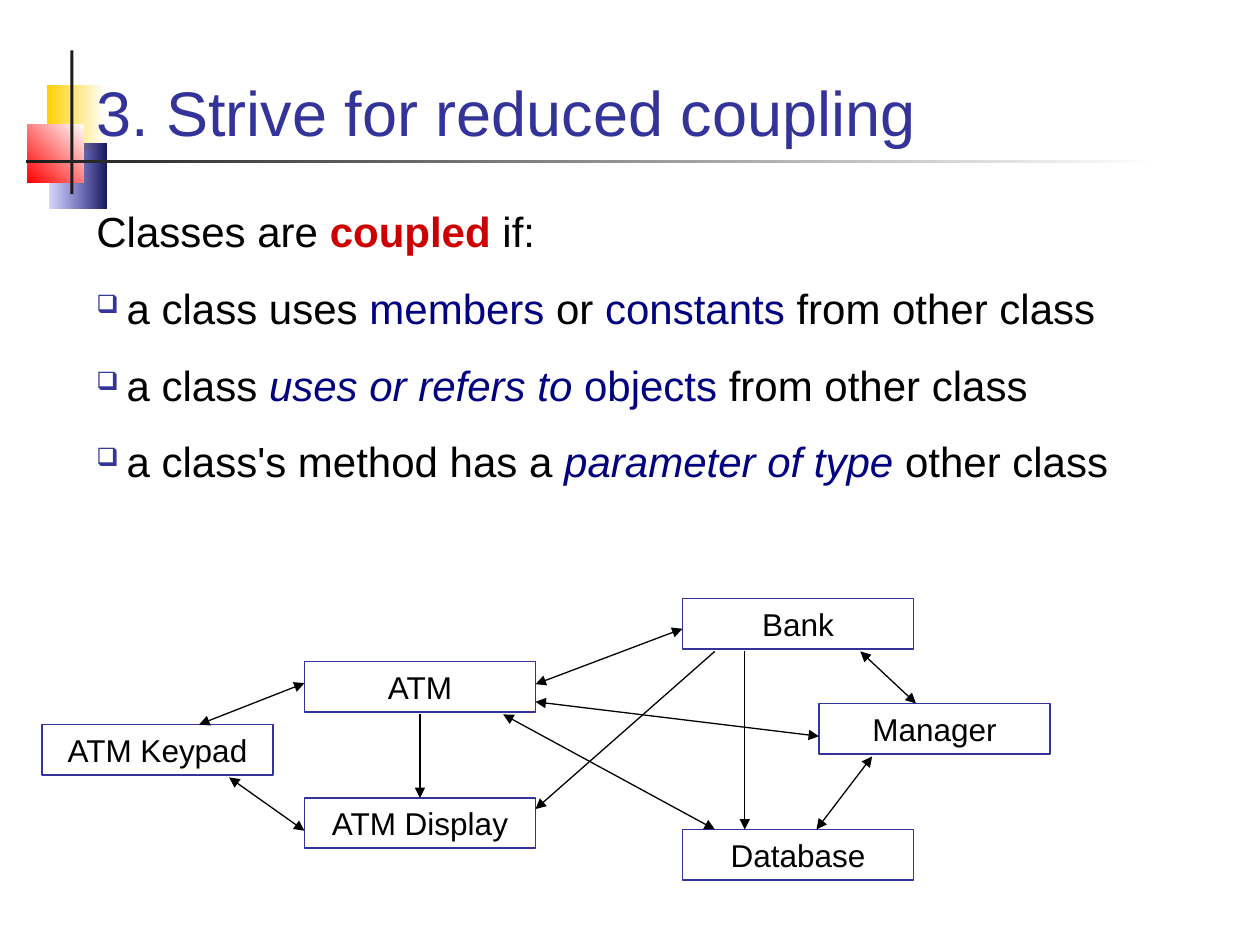
from dataclasses import dataclass

from lxml import etree
from pptx import Presentation
from pptx import util as u
from pptx.dml.color import RGBColor
from pptx.enum import shapes, text
from pptx.oxml.ns import qn


@dataclass(frozen=True)
class Theme:
    font: str = "Arial"
    title_size: int = 36
    body_size: int = 24
    label_size: int = 18
    indigo: str = "333399"
    navy: str = "000080"
    red: str = "CC0000"
    black: str = "000000"
    white: str = "FFFFFF"
    charcoal: str = "1C1C1C"
    yellow: str = "FFCF01"
    bright_red: str = "FF0000"
    midnight: str = "17175E"
    blue: str = "3333CC"


THEME = Theme()
COLUMNS, ROWS = 120, 90  # twelve grid units to the inch
BOX_WIDTH, BOX_HEIGHT = 22, 4.8


def rgb(colour):
    return RGBColor.from_string(colour)


class SlideBuilder:
    def __init__(self, deck, theme):
        self.theme = theme
        self.column = deck.slide_width / COLUMNS
        self.row = deck.slide_height / ROWS
        self.slide = deck.slides.add_slide(deck.slide_layouts[5])

    def place(self, left, top, width, height):
        return (u.Emu(round(left * self.column)), u.Emu(round(top * self.row)),
                u.Emu(round(width * self.column)), u.Emu(round(height * self.row)))

    def add_run(self, paragraph, words, size, colour, bold=False, italic=False):
        run = paragraph.add_run()
        run.text = words
        font = run.font
        font.name, font.size = self.theme.font, u.Pt(size)
        font.bold, font.italic = bold, italic
        font.color.rgb = rgb(colour)

    def rectangle(self, *area):
        rect = self.slide.shapes.add_shape(shapes.MSO_SHAPE.RECTANGLE, *self.place(*area))
        rect.shadow.inherit = False
        return rect

    def block(self, area, start, end=None, angle=180, end_alpha=None):
        """Decorative block, solid or fading from start to end."""
        block = self.rectangle(*area)
        block.line.fill.background()
        if end is None:
            block.fill.solid()
            block.fill.fore_color.rgb = rgb(start)
            return
        block.fill.gradient()
        block.fill.gradient_angle = angle
        for stop, colour in zip(block.fill.gradient_stops, (start, end)):
            stop.color.rgb = rgb(colour)
        if end_alpha:
            last = block.element.spPr.findall(".//" + qn("a:srgbClr"))[-1]
            etree.SubElement(last, qn("a:alpha"), val=str(end_alpha * 1000))

    def title(self, words, area):
        title = self.slide.shapes.title
        title.left, title.top, title.width, title.height = self.place(*area)
        frame = title.text_frame
        frame.auto_size = text.MSO_AUTO_SIZE.NONE
        frame.vertical_anchor = text.MSO_ANCHOR.BOTTOM
        heading = frame.paragraphs[0]
        heading.alignment = text.PP_ALIGN.LEFT
        self.add_run(heading, words, self.theme.title_size, self.theme.indigo)
        # Bring the heading in front of the decorative blocks
        title.element.getparent().append(title.element)

    def bullet(self, paragraph):
        props = paragraph._p.get_or_add_pPr()
        props.set("marL", str(u.Inches(0.24)))
        props.set("indent", str(-u.Inches(0.24)))
        colour = etree.SubElement(props, qn("a:buClr"))
        etree.SubElement(colour, qn("a:srgbClr"), val=self.theme.indigo)
        etree.SubElement(props, qn("a:buSzPct"), val="60000")
        etree.SubElement(props, qn("a:buChar"), char="❑")

    def body(self, intro, points, area):
        frame = self.slide.shapes.add_textbox(*self.place(*area)).text_frame
        frame.word_wrap = True
        for index, phrases in enumerate([intro, *points]):
            paragraph = frame.paragraphs[0] if index == 0 else frame.add_paragraph()
            if index:
                self.bullet(paragraph)
                paragraph.space_before = u.Pt(15)
            for words, *style in phrases:
                colour = style[0] if style else self.theme.black
                self.add_run(paragraph, words, self.theme.body_size, colour,
                             bold="bold" in style, italic="italic" in style)

    def class_box(self, name, left, top):
        box = self.rectangle(left, top, BOX_WIDTH, BOX_HEIGHT)
        box.fill.background()
        box.line.color.rgb = rgb(self.theme.indigo)
        box.line.width = u.Pt(1)
        frame = box.text_frame
        frame.word_wrap = True
        frame.vertical_anchor = text.MSO_ANCHOR.TOP
        label = frame.paragraphs[0]
        label.alignment = text.PP_ALIGN.CENTER
        self.add_run(label, name, self.theme.label_size, self.theme.black)

    def arrow(self, start, end, both_ways):
        (x1, y1), (x2, y2) = start, end
        begin_x, begin_y, end_x, end_y = self.place(x1, y1, x2, y2)
        arrow = self.slide.shapes.add_connector(
            shapes.MSO_CONNECTOR.STRAIGHT, begin_x, begin_y, end_x, end_y)
        arrow.line.color.rgb = rgb(self.theme.black)
        arrow.line.width = u.Pt(0.75)
        line = arrow.line._get_or_add_ln()
        for end_tag in ["a:headEnd", "a:tailEnd"] if both_ways else ["a:tailEnd"]:
            etree.SubElement(line, qn(end_tag), type="triangle")
        etree.SubElement(arrow.element.spPr, qn("a:effectLst"))


INTRO = [("Classes are ",), ("coupled", THEME.red, "bold"), (" if:",)]
POINTS = [
    [("a class uses ",), ("members", THEME.navy), (" or ",),
     ("constants", THEME.navy), (" from other class",)],
    [("a class ",), ("uses or refers to ", THEME.navy, "italic"),
     ("objects", THEME.navy), (" from other class",)],
    [("a class's method has a ",), ("parameter of type", THEME.navy, "italic"),
     (" other class",)],
]

# Left column and top row of each class
CLASSES = {
    "Bank": (65, 57),
    "ATM": (29, 63),
    "Database": (65, 79),
    "ATM Display": (29, 76),
    "Manager": (78, 67),
    "ATM Keypad": (4, 69),
}

# Each end: class, share of its width, share of its height; then both ways or not
COUPLINGS = [
    (("ATM", 1, 0.45), ("Bank", 0, 0.6), True),
    (("Manager", 0, 0.65), ("ATM", 1, 0.8), True),
    (("Bank", 0.27, 1.05), ("Database", 0.27, 0), False),
    (("ATM", 0.86, 1.05), ("Database", 0.14, 0), True),
    (("ATM", 0.5, 1.05), ("ATM Display", 0.5, 0), False),
    (("Bank", 0.14, 1.05), ("ATM Display", 1, 0.22), False),
    (("Manager", 0.23, 1.05), ("Database", 0.58, 0), True),
    (("Manager", 0.42, 0), ("Bank", 0.77, 1.05), True),
    (("ATM Display", 0, 0.65), ("ATM Keypad", 0.81, 1.05), True),
    (("ATM", 0, 0.43), ("ATM Keypad", 0.68, 0), True),
]


def anchor(name, across, down):
    left, top = CLASSES[name]
    return left + across * BOX_WIDTH, top + down * BOX_HEIGHT


def main():
    deck = Presentation()
    deck.slide_width, deck.slide_height = u.Inches(10), u.Inches(7.5)
    page = SlideBuilder(deck, THEME)

    # Corner ornament and rule under the heading
    page.block((4.45, 8.1, 5.6, 6.2), THEME.white, THEME.yellow)
    page.block((4.7, 13.65, 5.4, 6.25), THEME.midnight, THEME.blue, end_alpha=20)
    page.block((2.6, 11.85, 5.4, 5.55), THEME.white, THEME.bright_red, angle=225)
    page.block((6.7, 4.8, 0.3, 13.7), THEME.charcoal)
    page.block((2.5, 15.2, 107.9, 0.3), THEME.white, THEME.charcoal)

    # Heading and definition
    page.title("3. Strive for reduced coupling", (8, 3.4, 104, 11.4))
    page.body(INTRO, POINTS, (8, 19, 104, 38))

    # Class diagram
    for name, (left, top) in CLASSES.items():
        page.class_box(name, left, top)
    for start, end, both_ways in COUPLINGS:
        page.arrow(anchor(*start), anchor(*end), both_ways)

    deck.save("out.pptx")


if __name__ == "__main__":
    main()
